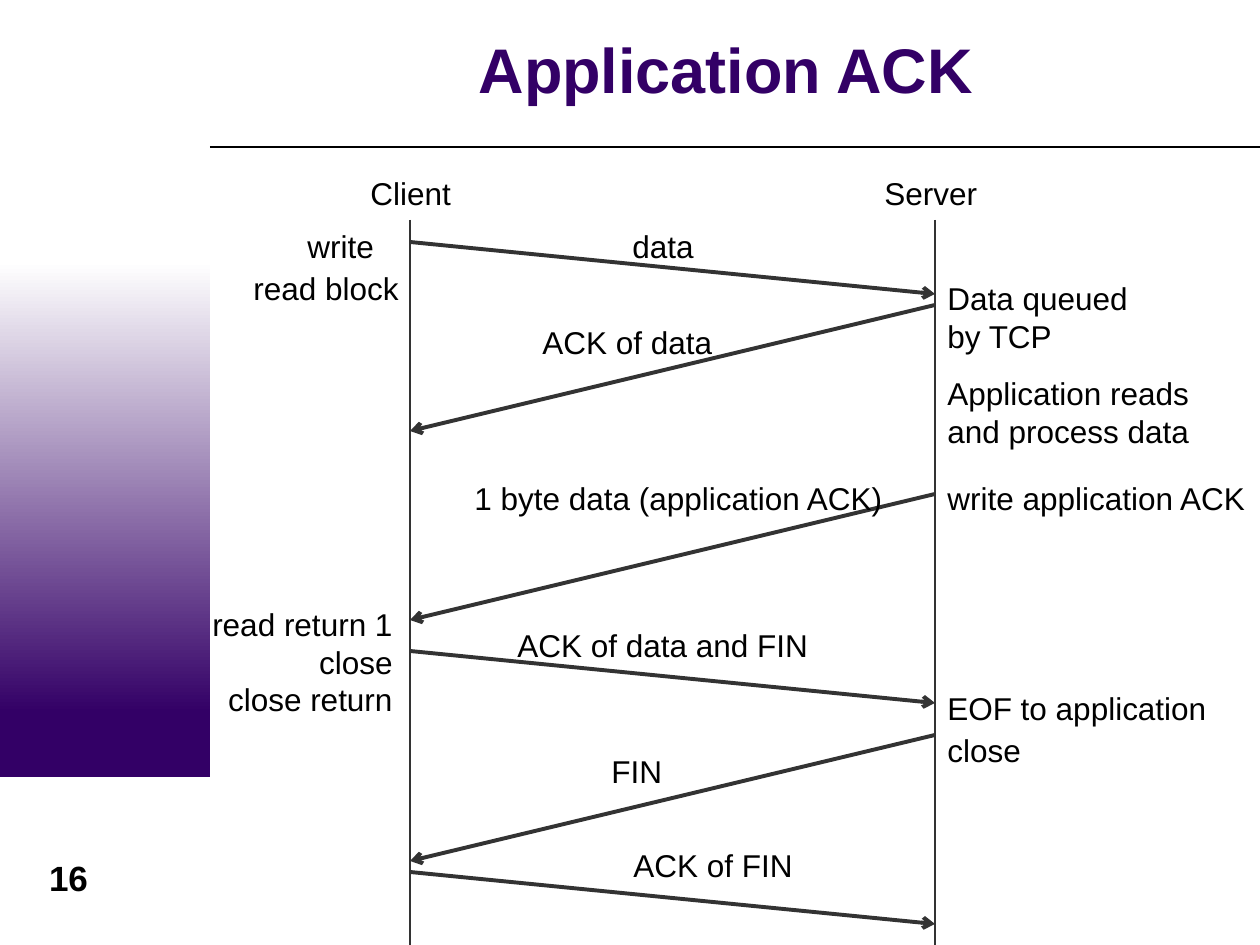
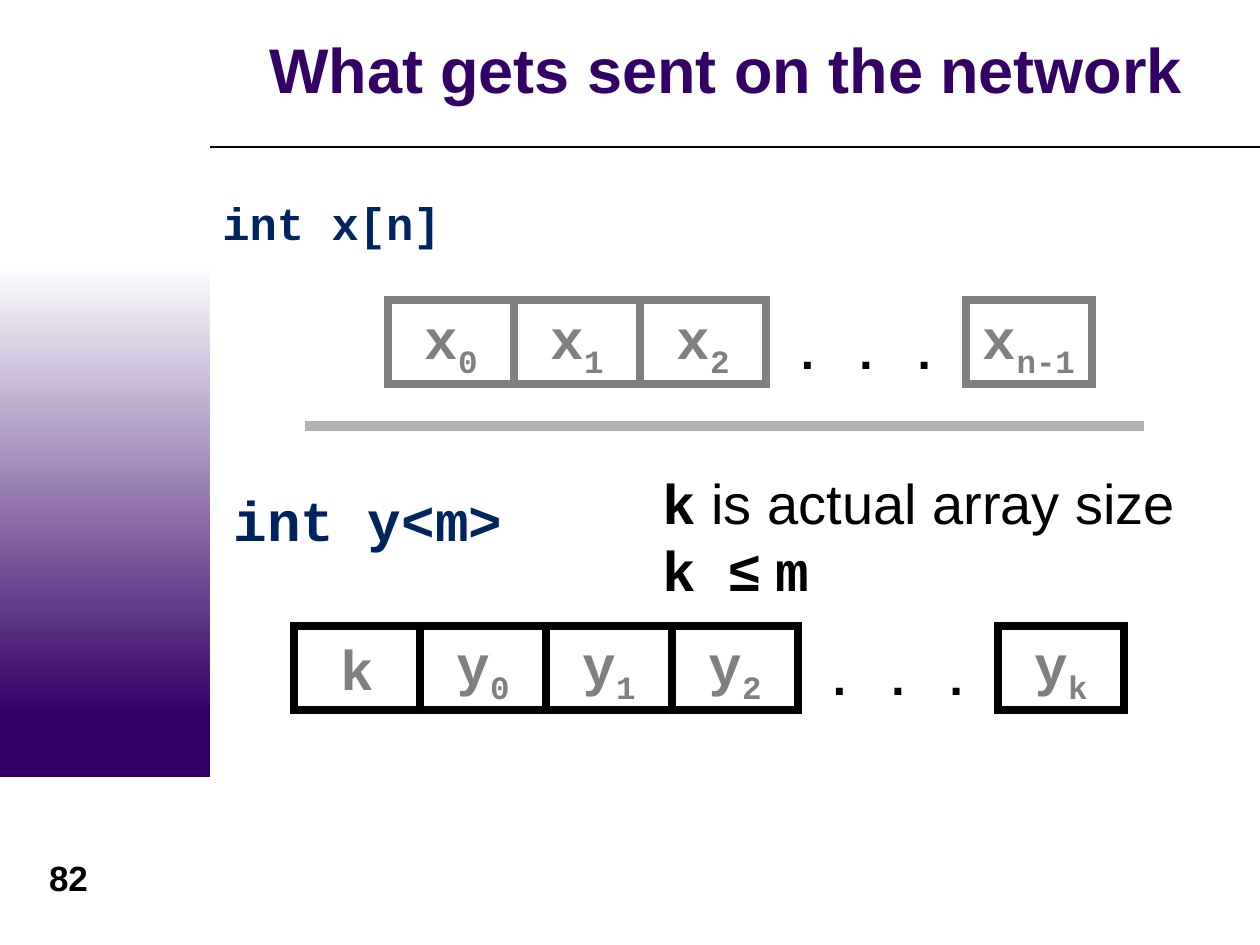
from lxml import etree
from pptx import Presentation
from pptx import util as u
from pptx.dml.color import RGBColor
from pptx.enum import shapes, text
from pptx.oxml import ns

HUES = {
    "violet": "330066", "white": "FFFFFF", "black": "000000",
    "ink": "333333", "navy": "00245D", "gray": "808080", "silver": "B2B2B2",
}
SANS, MONO = "Arial", "Courier New"
DPI = 126
WIDE, TALL = 1260, 945
CLIENT, SERVER = 410, 935
CELL, HIGH = 126, 84
LEFT, MID, RIGHT = text.PP_ALIGN.LEFT, text.PP_ALIGN.CENTER, text.PP_ALIGN.RIGHT


def px(n):
    return u.Emu(round(n * 914400 / DPI))


def hue(name):
    return RGBColor.from_string(HUES[name])


def put(para, words, size, face=SANS, color="black", bold=False, sub=False):
    """Add one run to a paragraph."""
    run = para.add_run()
    run.text = words
    font = run.font
    font.size, font.name, font.bold = u.Pt(size), face, bold
    font.color.rgb = hue(color)
    if sub:
        run._r.get_or_add_rPr().set("baseline", "-25000")


def box(slide, x, y, w, h, anchor=text.MSO_ANCHOR.TOP):
    """Add an empty text box and return its frame."""
    frame = slide.shapes.add_textbox(px(x), px(y), px(w), px(h)).text_frame
    frame.word_wrap = True
    frame.vertical_anchor = anchor
    return frame


def rect(slide, x, y, w, h, fill):
    shape = slide.shapes.add_shape(
        shapes.MSO_SHAPE.RECTANGLE, px(x), px(y), px(w), px(h))
    shape.shadow.inherit = False
    shape.fill.solid()
    shape.fill.fore_color.rgb = hue(fill)
    shape.line.fill.background()
    return shape


def rule(slide, start, end, color, width, head=False):
    """Draw a straight line, with an arrowhead at its end if head is set."""
    line = slide.shapes.add_connector(
        shapes.MSO_CONNECTOR.STRAIGHT, *map(px, (*start, *end)))
    line.line.color.rgb = hue(color)
    line.line.width = u.Pt(width)
    if head:
        etree.SubElement(line.line._get_or_add_ln(), ns.qn("a:tailEnd"), type="arrow")
    etree.SubElement(line._element.spPr, ns.qn("a:effectLst"))


def base(deck, title, number):
    """Add a slide with its title, side band, rule and page number."""
    slide = deck.slides.add_slide(deck.slide_layouts[5])
    rect(slide, 0, 693, 210, 84, "violet")
    fade = rect(slide, 0, 262, 210, 451, "white").fill
    fade.gradient()
    fade.gradient_angle = 270
    for stop, name in zip(fade.gradient_stops, ("white", "violet")):
        stop.color.rgb = hue(name)
    rule(slide, (210, 147), (WIDE, 147), "black", 0.75)

    page = box(slide, 21, 850, 95, 55).paragraphs[0]
    page.alignment = MID
    put(page, number, 20, bold=True)

    head = slide.shapes.title
    head.left, head.top, head.width, head.height = map(px, (227, 14, 998, 121))
    frame = head.text_frame
    frame.auto_size = text.MSO_AUTO_SIZE.NONE
    frame.vertical_anchor = text.MSO_ANCHOR.MIDDLE
    frame.margin_top = frame.margin_bottom = 0
    para = frame.paragraphs[0]
    para.alignment, para.line_spacing = MID, 0.85
    put(para, title, 36, color="violet", bold=True)
    return slide


def label(slide, x, y, w, *lines, align=LEFT):
    """Add lines of text, with no margin on the ragged side."""
    frame = box(slide, x, y, w, 50)
    if align == LEFT:
        frame.margin_right = 0
    else:
        frame.margin_left = 0
    for i, words in enumerate(lines):
        para = frame.add_paragraph() if i else frame.paragraphs[0]
        para.alignment, para.line_spacing = align, u.Pt(21.5)
        put(para, words, 18)


def cell(slide, x, y, edge, name, sub=""):
    """Draw one array slot holding a subscripted name."""
    shape = rect(slide, x, y, CELL, HIGH, "white")
    shape.line.color.rgb = hue(edge)
    shape.line.width = u.Pt(4.5)
    etree.SubElement(shape.line._get_or_add_ln(), ns.qn("a:miter"), lim="800000")
    frame = shape.text_frame
    frame.word_wrap = False
    frame.vertical_anchor = text.MSO_ANCHOR.MIDDLE
    para = frame.paragraphs[0]
    para.alignment = MID
    put(para, name, 32, MONO, "gray", True)
    if sub:
        put(para, sub, 32, MONO, "gray", True, sub=True)


def row(slide, x, y, edge, slots, last):
    """Draw joined slots, an ellipsis and the last slot."""
    for i, slot in enumerate(slots):
        cell(slide, x + i * CELL, y, edge, *slot)
    end, gap = x + len(slots) * CELL, 200
    dots = box(slide, end, y - 20, gap, HIGH, text.MSO_ANCHOR.MIDDLE)
    dots.paragraphs[0].alignment = MID
    put(dots.paragraphs[0], ". . .", 48, MONO, bold=True, sub=True)
    cell(slide, end + gap, y, edge, *last)


def code(slide, x, y, w, words, size):
    put(box(slide, x, y, w, 100).paragraphs[0], words, size, MONO, "navy", True)


def acks(deck):
    slide = base(deck, "Application ACK", "16")
    for x in (CLIENT, SERVER):
        rule(slide, (x, 220), (x, TALL), "ink", 1)
    for y in (242, 651, 872):
        rule(slide, (CLIENT, y), (SERVER, y + 52), "ink", 2.25, head=True)
    for y in (305, 494, 735):
        rule(slide, (SERVER, y), (CLIENT, y + 126), "ink", 2.25, head=True)

    for x, y, w, words in (
        (358, 168, 115, "Client"),
        (872, 168, 125, "Server"),
        (620, 221, 95, "data"),
        (530, 317, 210, "ACK of data"),
        (462, 473, 440, "1 byte data (application ACK)"),
        (505, 620, 330, "ACK of data and FIN"),
        (599, 746, 85, "FIN"),
        (621, 840, 200, "ACK of FIN"),
        (295, 221, 100, "write"),
        (SERVER, 273, 214, "Data queued by TCP"),
        (SERVER, 368, 275, "Application reads and process data"),
        (SERVER, 473, 325, "write application ACK"),
        (SERVER, 683, 300, "EOF to application"),
        (SERVER, 725, 110, "close"),
    ):
        label(slide, x, y, w, words)
    label(slide, 231, 263, 180, "read block", align=RIGHT)
    label(slide, 185, 599, 220, "read return 1", "close", "close return", align=RIGHT)


def arrays(deck):
    slide = base(deck, "What gets sent on the network", "82")
    code(slide, 210, 189, 494, "int x[n]", 26)
    row(slide, 388, 300, "gray", [("x", n) for n in "012"], ("x", "n-1"))
    rule(slide, (305, 426), (1144, 426), "silver", 6)

    code(slide, 221, 479, 336, "int y<m>", 32)
    frame = box(slide, 650, 462, 580, 150)
    size = frame.paragraphs[0]
    put(size, "k", 32, MONO, bold=True)
    put(size, " is actual array size", 32)
    limit = frame.add_paragraph()
    put(limit, "k ", 32, MONO, bold=True)
    put(limit, "≤ ", 32, bold=True)
    put(limit, "m", 32, MONO, bold=True)
    row(slide, 294, 626, "black", [("k",)] + [("y", n) for n in "012"], ("y", "k"))


def main():
    deck = Presentation()
    deck.slide_width, deck.slide_height = px(WIDE), px(TALL)
    acks(deck)
    arrays(deck)
    deck.save("out.pptx")


if __name__ == "__main__":
    main()
